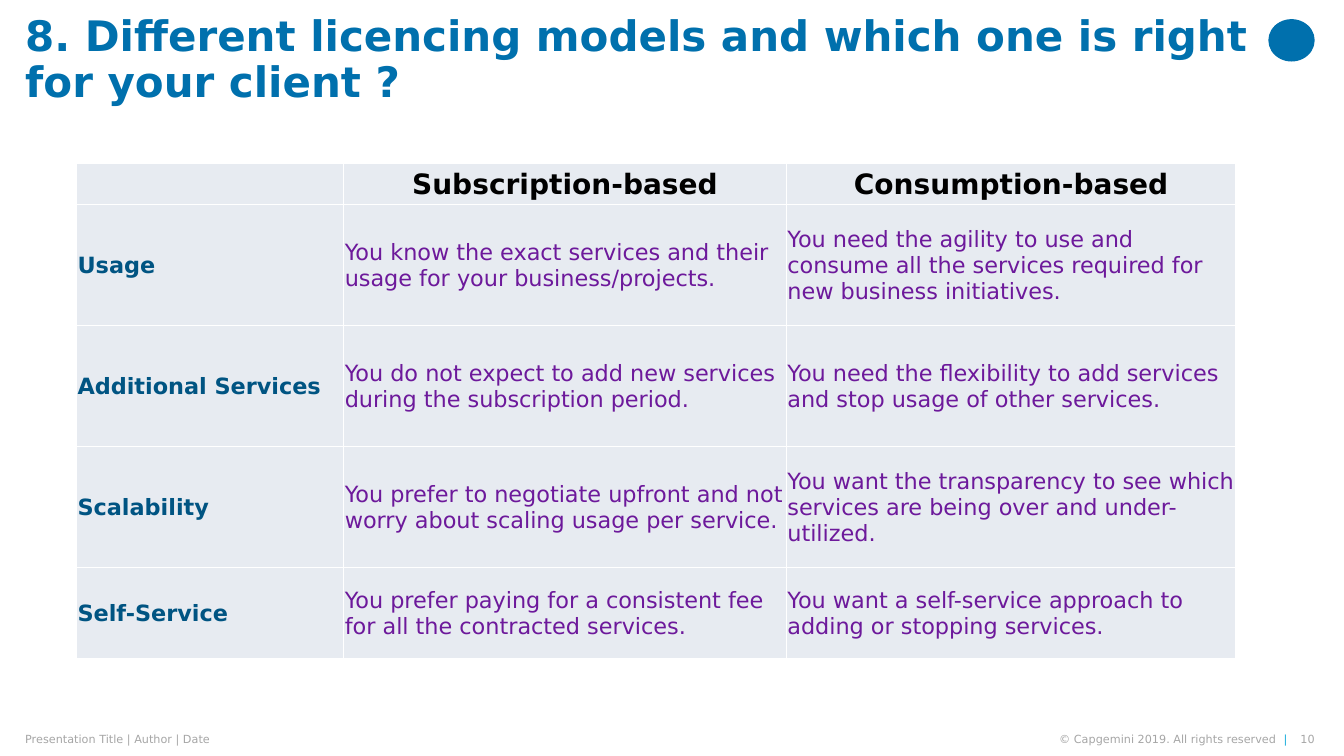
import pptx
import pptx.util
import pptx.dml.color
import pptx.enum.shapes
import pptx.enum.text
import pptx.oxml
import pptx.oxml.ns

Inches = pptx.util.Inches
Pt = pptx.util.Pt
ALIGN = pptx.enum.text.PP_ALIGN
MIDDLE = pptx.enum.text.MSO_ANCHOR.MIDDLE
BLUE, GREY = "0070AD", "A6A6A6"


def rgb(value):
    return pptx.dml.color.RGBColor.from_string(value)


def add_text(p, text, size=16, color="000000", bold=False, align=ALIGN.LEFT):
    p.alignment = align
    r = p.add_run()
    r.text = text
    r.font.name = "DejaVu Sans"
    r.font.size = Pt(size)
    r.font.bold = bold
    r.font.color.rgb = rgb(color)


prs = pptx.Presentation()
prs.slide_width, prs.slide_height = Inches(13.33), Inches(7.5)
s = prs.slides.add_slide(prs.slide_layouts[6])

# Emblem in the top right corner
sp = s.shapes.add_shape(pptx.enum.shapes.MSO_SHAPE.OVAL,
                        Inches(12.58), Inches(0.19), Inches(0.46), Inches(0.42))
sp.shadow.inherit = False
sp.fill.solid()
sp.fill.fore_color.rgb = rgb(BLUE)
sp.line.fill.background()

# Title and footer: box, line spacing, alignment, runs of (text, size, colour, bold)
text_boxes = [
    ((0.25, 0, 12.17, 1.21), 0.9, ALIGN.LEFT,
     [("8. Different licencing models and which one is right for your client ?", 30, BLUE, True)]),
    ((0.25, 7.27, 5.16, 0.13), 1.0, ALIGN.LEFT,
     [("Presentation Title | Author | Date", 8, GREY, False)]),
    ((9.86, 7.27, 2.91, 0.13), 1.0, ALIGN.RIGHT,
     [("© Capgemini 2019. All rights reserved  ", 8, GREY, False), ("|", 8, "12ABDB", False)]),
    ((12.85, 7.27, 0.19, 0.13), 1.0, ALIGN.RIGHT,
     [("10", 8, GREY, False)]),
]
for box, spacing, align, runs in text_boxes:
    tf = s.shapes.add_textbox(*map(Inches, box)).text_frame
    tf.margin_left = tf.margin_right = tf.margin_top = tf.margin_bottom = 0
    tf.vertical_anchor = MIDDLE
    tf.word_wrap = True
    p = tf.paragraphs[0]
    p.line_spacing = spacing
    for text, size, color, bold in runs:
        add_text(p, text, size=size, color=color, bold=bold, align=align)

# Comparison table
rows = [
    ("", "Subscription-based", "Consumption-based"),
    ("Usage",
     "You know the exact services and their usage for your business/projects.",
     "You need the agility to use and consume all the services required for new business initiatives."),
    ("Additional Services",
     "You do not expect to add new services during the subscription period.",
     "You need the flexibility to add services and stop usage of other services."),
    ("Scalability",
     "You prefer to negotiate upfront and not worry about scaling usage per service.",
     "You want the transparency to see which services are being over and under-utilized."),
    ("Self-Service",
     "You prefer paying for a consistent fee for all the contracted services.",
     "You want a self-service approach to adding or stopping services."),
]
header_format = dict(size=20, bold=True, align=ALIGN.CENTER)
label_format = dict(color="005482", bold=True)
body_format = dict(color="6D199B")

table = s.shapes.add_table(len(rows), 3, Inches(0.76), Inches(1.62),
                           Inches(11.5), Inches(4.91)).table
for column, width in zip(table.columns, (2.65, 4.39, 4.46)):
    column.width = Inches(width)
for row, height in zip(table.rows, (0.41, 1.2, 1.2, 1.2, 0.9)):
    row.height = Inches(height)

for i, texts in enumerate(rows):
    for j, text in enumerate(texts):
        cell = table.cell(i, j)
        cell.vertical_anchor = MIDDLE
        cell.margin_left = cell.margin_right = cell.margin_top = Inches(0.01)
        cell.margin_bottom = 0
        # Borders come before the fill in the cell properties
        for side in ("lnL", "lnR", "lnT", "lnB"):
            cell._tc.get_or_add_tcPr().append(pptx.oxml.parse_xml(
                f'<a:{side} {pptx.oxml.ns.nsdecls("a")} w="12700"><a:solidFill>'
                f'<a:srgbClr val="FFFFFF"/></a:solidFill></a:{side}>'))
        cell.fill.solid()
        cell.fill.fore_color.rgb = rgb("E7EBF1")
        if text:
            text_format = header_format if i == 0 else label_format if j == 0 else body_format
            add_text(cell.text_frame.paragraphs[0], text, **text_format)

prs.save("out.pptx")
